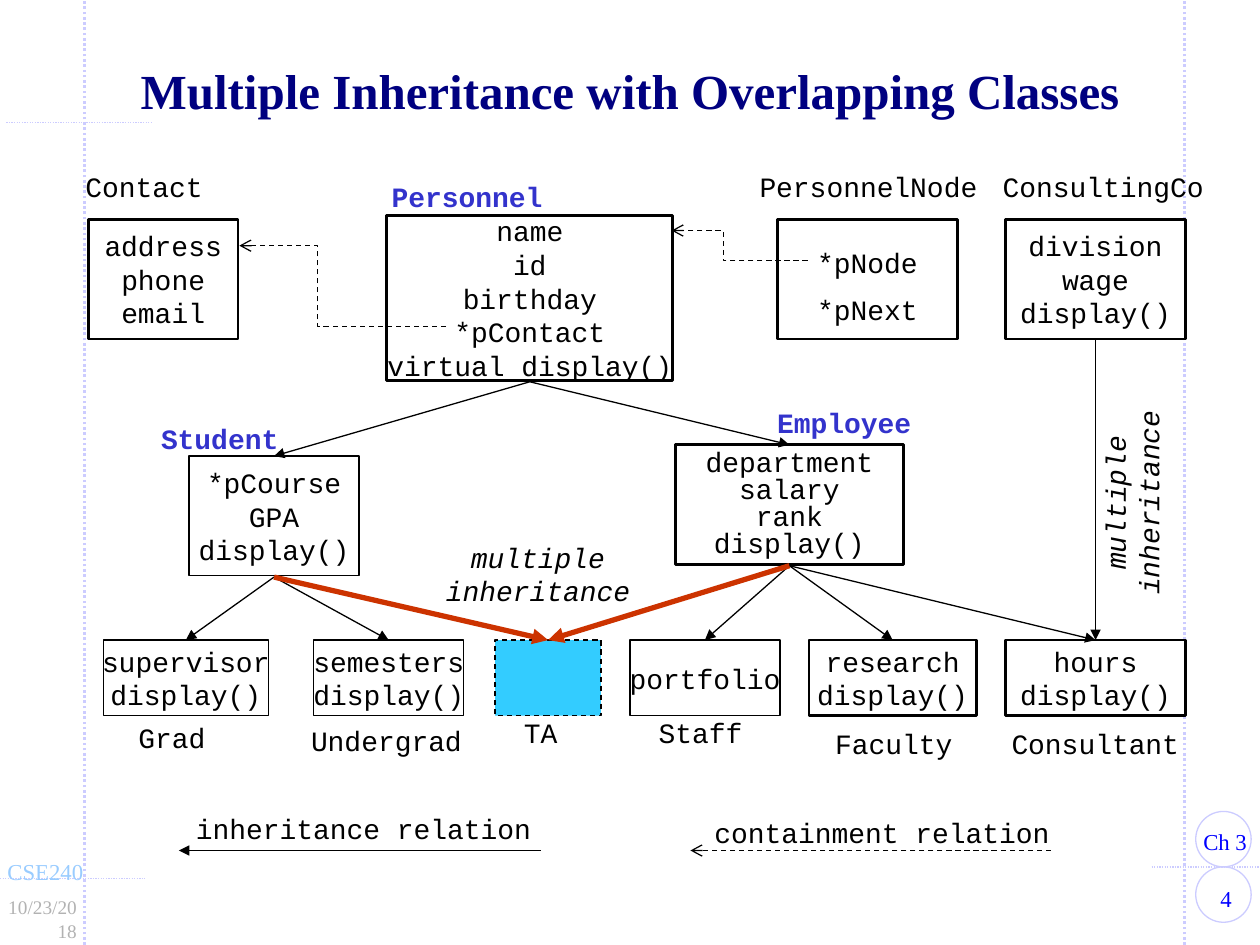
from pptx import Presentation
from pptx import util as u
from pptx.dml.color import RGBColor
from pptx.enum import dml, shapes, text
from pptx.oxml.ns import qn
from lxml import etree

Inches, Pt = u.Inches, u.Pt
LEFT, CENTER, RIGHT = text.PP_ALIGN.LEFT, text.PP_ALIGN.CENTER, text.PP_ALIGN.RIGHT
DASH, DOT = dml.MSO_LINE.DASH, dml.MSO_LINE.ROUND_DOT
GROW = text.MSO_AUTO_SIZE.SHAPE_TO_FIT_TEXT
CODE, SERIF = "Courier New", "Times New Roman"
COLORS = {
    "black": "000000", "white": "FFFFFF", "title": "000080", "base": "3333CC",
    "rule": "CCCCFF", "chapter": "0000FF", "course": "99CCFF", "date": "B2B2B2",
    "overlap": "33CCFF", "multiple": "CC3300",
}


def write(shape, content, color="black", align=CENTER, size=16, font=CODE,
          bold=False, italic=False, spacing=None, wrap=False):
    frame = shape.text_frame
    frame.text = content
    frame.word_wrap = wrap
    for paragraph in frame.paragraphs:
        paragraph.alignment = align
        paragraph.line_spacing = spacing
        for run in paragraph.runs:
            run.font.name = font
            run.font.size = Pt(size)
            run.font.bold = bold
            run.font.italic = italic
            run.font.color.rgb = RGBColor.from_string(COLORS[color])


def stroke(shape, color="black", width=0.75, dash=None, arrow=None):
    """Style an outline, remove its shadow and put an arrowhead at its end."""
    shape.line.color.rgb = RGBColor.from_string(COLORS[color])
    shape.line.width = Pt(width)
    if dash:
        shape.line.dash_style = dash
    properties = shape._element.spPr
    if arrow:
        etree.SubElement(properties.find(qn("a:ln")), qn("a:tailEnd"), type=arrow)
    etree.SubElement(properties, qn("a:effectLst"))


prs = Presentation()
prs.slide_width, prs.slide_height = Inches(10), Inches(7.5)
slide = prs.slides.add_slide(prs.slide_layouts[5])
items = slide.shapes

# Page frame
for x1, y1, x2, y2, width in [
    (0.67, 7.5, 0.67, 0, 1.5), (9.4, 7.5, 9.4, 0, 1.5), (0, 6.97, 1.15, 6.97, 0.75),
    (9.14, 6.88, 10.05, 6.88, 0.75), (0.05, 0.97, 1.2, 0.97, 0.75),
]:
    rule = items.add_connector(shapes.MSO_CONNECTOR.STRAIGHT,
                               Inches(x1), Inches(y1), Inches(x2), Inches(y2))
    stroke(rule, "rule", width, DOT)

for top in (6.44, 6.88):
    ring = items.add_shape(shapes.MSO_SHAPE.OVAL, Inches(9.49), Inches(top),
                           Inches(0.44), Inches(0.44))
    ring.fill.background()
    stroke(ring, "rule")

for content, left, top, width, color, align, size, wrap in [
    ("4", 9.44, 6.97, 0.58, "chapter", CENTER, 13, True),
    ("Ch 3", 9.44, 6.52, 0.58, "chapter", LEFT, 13, False),
    ("CSE240", -0.05, 6.76, 0.84, "course", LEFT, 13, False),
    ("10/23/2018", -0.11, 7.06, 0.83, "date", RIGHT, 11, True),
]:
    mark = items.add_textbox(Inches(left), Inches(top), Inches(width), Inches(0.32))
    write(mark, content, color, align, size, SERIF, wrap=wrap)
    mark.text_frame.auto_size = GROW
    mark.text_frame.margin_left = Inches(0.11)
    mark.text_frame.margin_right = Inches(0.11 if wrap else 0)

title = items.title
title.left, title.top = Inches(0.73), Inches(0.44)
title.width, title.height = Inches(8.54), Inches(0.62)
write(title, "Multiple Inheritance with Overlapping Classes", "title",
      size=28, font=SERIF, bold=True, spacing=0.85, wrap=True)
title.text_frame.vertical_anchor = text.MSO_ANCHOR.MIDDLE

# Class boxes: left, top, width, height, line width, line spacing, members
CLASSES = {
    "Personnel": (3.07, 1.71, 2.27, 1.31, 1.5, None,
                  "name\nid\nbirthday\n*pContact\nvirtual display()"),
    "Contact": (0.7, 1.74, 1.19, 0.95, 1.5, None, "address\nphone\nemail"),
    "PersonnelNode": (6.17, 1.74, 1.43, 0.95, 1.5, 1.4, "*pNode\n*pNext"),
    "ConsultingCo": (7.98, 1.74, 1.43, 0.95, 1.5, None, "division\nwage\ndisplay()"),
    "Student": (1.5, 3.62, 1.35, 0.95, 0.75, None, "*pCourse\nGPA\ndisplay()"),
    "Employee": (5.36, 3.53, 1.81, 0.95, 1.5, 0.8,
                 "department\nsalary\nrank\ndisplay()"),
    "Grad": (0.82, 5.08, 1.31, 0.6, 0.75, None, "supervisor\ndisplay()"),
    "Undergrad": (2.49, 5.08, 1.19, 0.6, 0.75, None, "semesters\ndisplay()"),
    "TA": (3.93, 5.08, 0.84, 0.6, 0.75, None, ""),
    "Staff": (5, 5.08, 1.19, 0.6, 0.75, None, "portfolio"),
    "Faculty": (6.42, 5.08, 1.33, 0.6, 1.5, None, "research\ndisplay()"),
    "Consultant": (7.98, 5.08, 1.43, 0.6, 1.5, None, "hours\ndisplay()"),
}
for name, (left, top, width, height, line, spacing, members) in CLASSES.items():
    box = items.add_shape(shapes.MSO_SHAPE.RECTANGLE, Inches(left), Inches(top),
                          Inches(width), Inches(height))
    overlap = name == "TA"
    box.fill.solid()
    box.fill.fore_color.rgb = RGBColor.from_string(
        COLORS["overlap" if overlap else "white"])
    stroke(box, width=line, dash=DASH if overlap else None)
    write(box, members, spacing=spacing)
    box.text_frame.vertical_anchor = text.MSO_ANCHOR.MIDDLE

# Inheritance arrows run from bottom centre to top centre
for parent, child in [
    ("Personnel", "Employee"), ("Personnel", "Student"), ("Employee", "Faculty"),
    ("Employee", "Staff"), ("Employee", "Consultant"), ("ConsultingCo", "Consultant"),
    ("Student", "Grad"), ("Student", "Undergrad"), ("Student", "TA"), ("Employee", "TA"),
]:
    left, top, width, height = CLASSES[parent][:4]
    child_left, child_top, child_width = CLASSES[child][:3]
    inheritance = items.add_connector(
        shapes.MSO_CONNECTOR.STRAIGHT,
        Inches(left + width / 2), Inches(top + height + 0.01),
        Inches(child_left + child_width / 2), Inches(child_top))
    if child == "TA":
        stroke(inheritance, "multiple", 3, arrow="triangle")
    else:
        stroke(inheritance, arrow="triangle")

# Containment arrows: start, bend and end
for x1, y1, bend, x2, y2 in [(3.54, 2.59, 2.52, 1.9, 1.95), (6.41, 2.07, 5.74, 5.33, 1.83)]:
    builder = items.build_freeform(Inches(x1), Inches(y1))
    builder.add_line_segments(
        [(Inches(x), Inches(y)) for x, y in [(bend, y1), (bend, y2), (x2, y2)]],
        close=False)
    containment = builder.convert_to_shape()
    containment.fill.background()
    stroke(containment, dash=DASH, arrow="arrow")

for start, end, dash, arrow in [(4.29, 1.42, None, "triangle"), (8.34, 5.48, DASH, "arrow")]:
    sample = items.add_connector(shapes.MSO_CONNECTOR.STRAIGHT, Inches(start),
                                 Inches(6.75), Inches(end), Inches(6.75))
    stroke(sample, dash=dash, arrow=arrow)

# Class names and legend
for content, left, top, width in [
    ("Personnel", 3.01, 1.38, 1.4), ("Employee", 6.07, 3.17, 1.27),
    ("Student", 1.18, 3.3, 1.14), ("Contact", 0.58, 1.3, 1.14),
    ("PersonnelNode", 5.93, 1.3, 1.94), ("ConsultingCo", 7.86, 1.3, 1.81),
    ("Grad", 1, 5.67, 0.74), ("Undergrad", 2.37, 5.69, 1.41), ("TA", 4.06, 5.63, 0.47),
    ("Staff", 5.13, 5.63, 0.87), ("Faculty", 6.53, 5.72, 1.14),
    ("Consultant", 7.93, 5.72, 1.54),
    ("inheritance relation", 1.33, 6.39, 3.11), ("containment relation", 5.56, 6.42, 2.88),
]:
    label = items.add_textbox(Inches(left), Inches(top), Inches(width), Inches(0.37))
    base = content in ("Personnel", "Employee", "Student")
    write(label, content, "base" if base else "black", bold=base,
          align=CENTER if "relation" in content else LEFT)
    label.text_frame.auto_size = GROW

for left, top, width, rotation in [(3.37, 4.24, 1.8, 0), (8.12, 3.67, 1.73, 270)]:
    note = items.add_textbox(Inches(left), Inches(top), Inches(width), Inches(0.64))
    note.rotation = rotation
    write(note, "multiple\ninheritance", italic=True, wrap=True)

prs.save("out.pptx")
